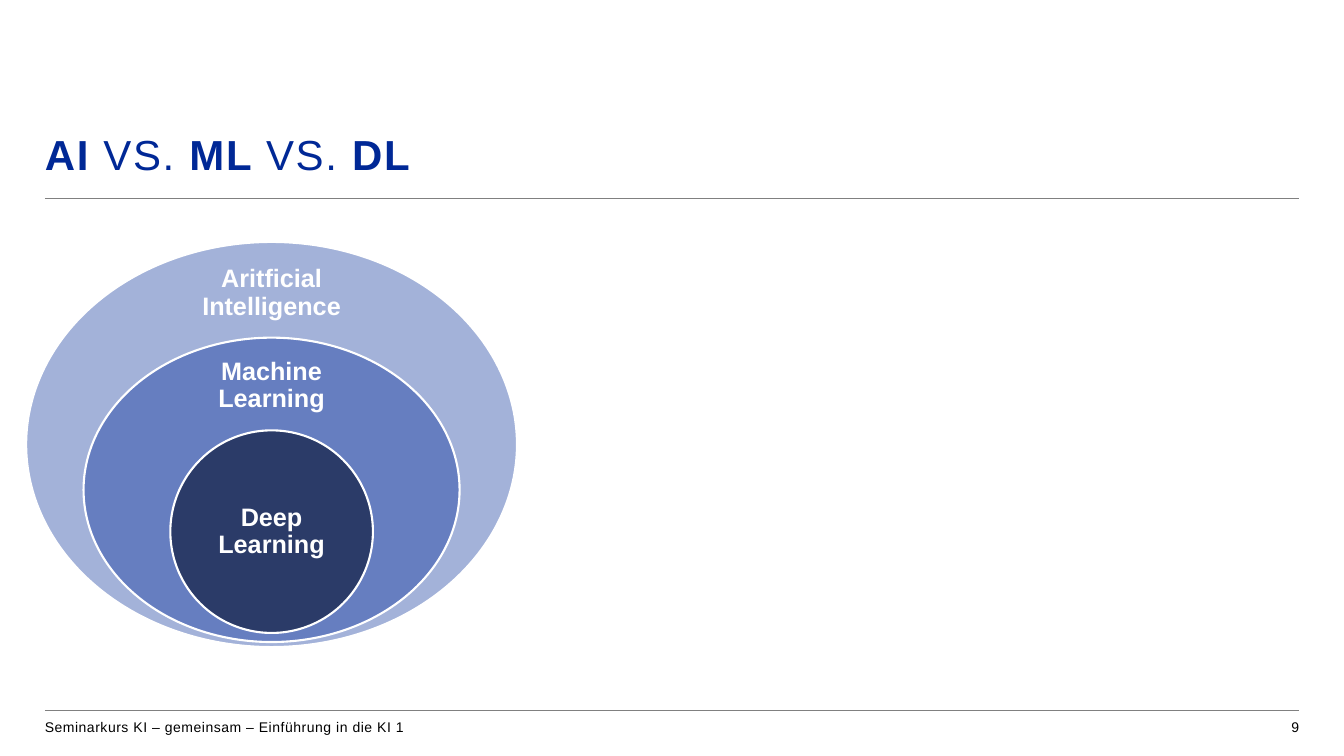
from lxml.etree import SubElement
from pptx import Presentation
from pptx.dml.color import RGBColor
from pptx.enum.shapes import MSO_CONNECTOR, MSO_SHAPE
from pptx.enum.text import MSO_ANCHOR, PP_ALIGN
from pptx.oxml.ns import qn
from pptx.util import Pt

COLORS = {
    "title": "002896", "rule": "808080", "text": "000000", "white": "FFFFFF",
    "ai": "A3B2D9", "ml": "667EC0", "dl": "2B3B68",
}
FONT = "Arial"
LEFT, WIDTH = 32, 896


def rgb(name):
    return RGBColor.from_string(COLORS[name])


def write(tf, runs, size=10, color="text", align=PP_ALIGN.LEFT,
          anchor=MSO_ANCHOR.TOP, inset=0, line_spacing=1.0, tracking=0):
    """Fill a text frame with one paragraph of (text, bold) runs."""
    tf.word_wrap = True
    tf.vertical_anchor = anchor
    tf.margin_left = tf.margin_right = Pt(inset)
    tf.margin_top = tf.margin_bottom = Pt(inset)
    p = tf.paragraphs[0]
    p.alignment = align
    p.line_spacing = line_spacing
    p.space_before = Pt(0)
    for text, bold in runs:
        r = p.add_run()
        r.text = text
        r.font.name = FONT
        r.font.size = Pt(size)
        r.font.bold = bold
        r.font.color.rgb = rgb(color)
        if tracking:
            r._r.get_or_add_rPr().set("spc", str(round(tracking * 100)))


def add_text(s, x, y, w, h, runs, **fmt):
    sp = s.shapes.add_textbox(Pt(x), Pt(y), Pt(w), Pt(h))
    write(sp.text_frame, runs, **fmt)


def add_rule(s, x, y, w):
    line = s.shapes.add_connector(MSO_CONNECTOR.STRAIGHT, Pt(x), Pt(y), Pt(x + w), Pt(y))
    line.line.color.rgb = rgb("rule")
    line.line.width = Pt(0.5)
    SubElement(line._element.spPr, qn("a:effectLst"))


def add_title(s, x, y, w, h):
    sp = s.shapes.title
    sp.left, sp.top, sp.width, sp.height = Pt(x), Pt(y), Pt(w), Pt(h)
    runs = [("AI ", True), ("VS. ", False), ("ML ", True), ("VS. ", False), ("DL", True)]
    write(sp.text_frame, runs, size=30, color="title", line_spacing=0.94, tracking=1.2)
    add_rule(s, x, y + 46.8, w)


def add_nested_ellipses(s, x, y, w, h):
    """Stack three ellipses centred across the box, each with its label."""
    # text, colour, ellipse (top, width, height), label (top, width, height)
    rings = [
        ("Aritficial Intelligence", "ai", (0, w, h), (15.1, 122.4, 43.2)),
        ("Machine Learning", "ml", (68.4, 268.6, 217.4), (82.1, 125.3, 41)),
        ("Deep Learning", "dl", (134.6, 144.7, 144.7), (170.6, 102.2, 72.7)),
    ]
    cx = x + w / 2
    for text, color, (top, rw, rh), (label_top, lw, lh) in rings:
        sp = s.shapes.add_shape(MSO_SHAPE.OVAL, Pt(cx - rw / 2), Pt(y + top), Pt(rw), Pt(rh))
        sp.shadow.inherit = False
        sp.fill.solid()
        sp.fill.fore_color.rgb = rgb(color)
        sp.line.color.rgb = rgb("white")
        sp.line.width = Pt(1.5)
        add_text(s, cx - lw / 2, y + label_top, lw, lh, [(text, True)], size=18,
                 color="white", align=PP_ALIGN.CENTER, anchor=MSO_ANCHOR.MIDDLE,
                 inset=10, line_spacing=0.9)


def add_footer(s, x, y, w, h):
    add_rule(s, x, y, w)
    number_w = 150
    text_y = y + 5.6
    add_text(s, x, text_y, 581, h, [("Seminarkurs KI – gemeinsam – Einführung in die KI 1", False)],
             tracking=0.4)
    add_text(s, x + w - number_w, text_y, number_w, h, [("9", False)], align=PP_ALIGN.RIGHT)


def main():
    prs = Presentation()
    prs.slide_width, prs.slide_height = Pt(960), Pt(540)
    s = prs.slides.add_slide(prs.slide_layouts[5])  # title only
    add_title(s, LEFT, 95, WIDTH, 44)
    add_nested_ellipses(s, 18.7, 172.8, 350.6, 289.4)
    add_footer(s, LEFT, 507.6, WIDTH, 17.3)
    prs.save("out.pptx")


if __name__ == "__main__":
    main()
